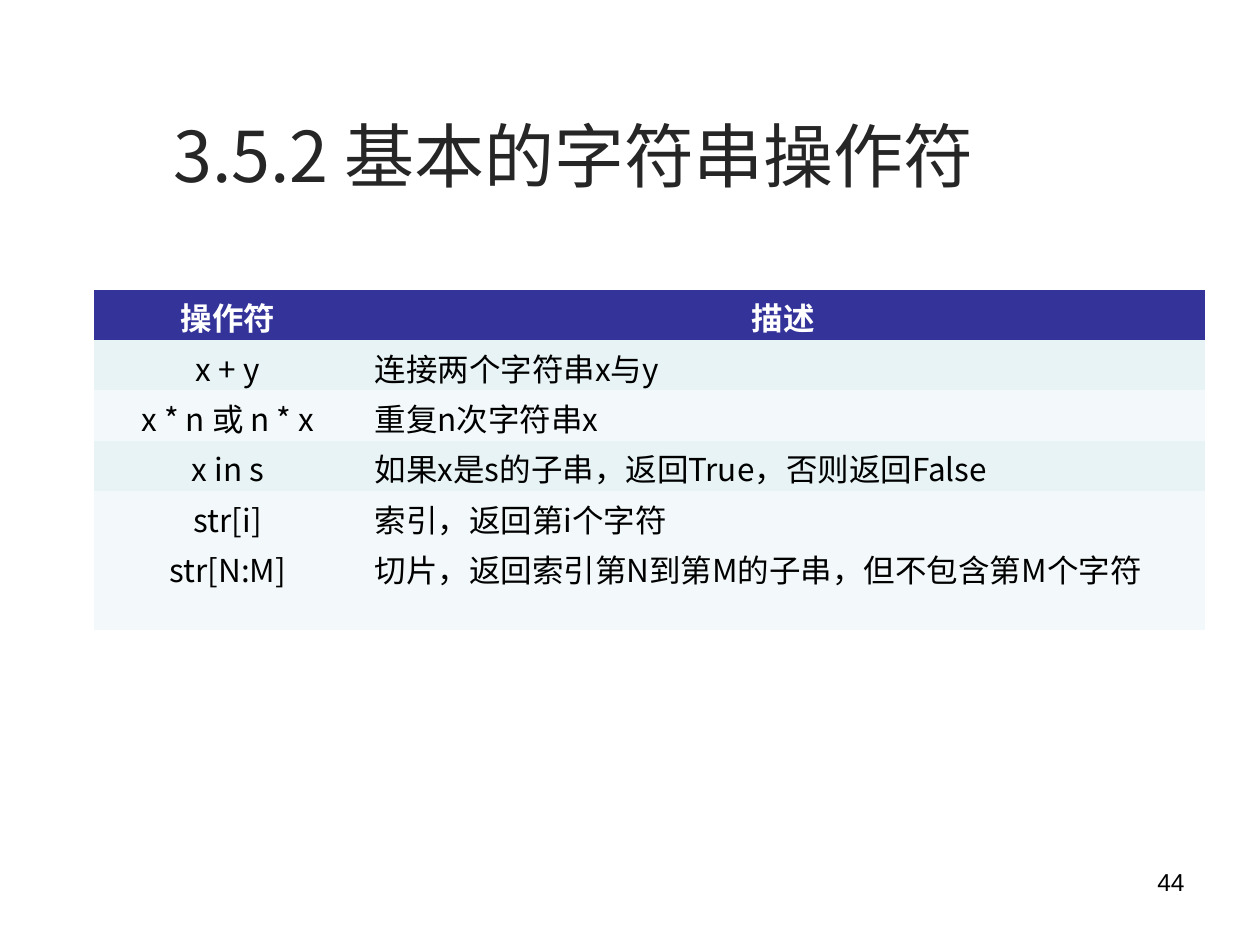
from lxml import etree
from pptx import Presentation
from pptx.dml.color import RGBColor
from pptx.enum import text
from pptx.oxml import ns
from pptx.util import Pt

CJK = "Noto Sans CJK SC"


def rgb(value):
    return RGBColor.from_string(value)


def style(p, size, color, font=CJK, bold=False, align=text.PP_ALIGN.LEFT):
    p.alignment = align
    for r in p.runs:
        r.font.size = Pt(size)
        r.font.bold = bold
        r.font.name = font
        r.font.color.rgb = rgb(color)
        ea = etree.SubElement(r.font._element, ns.qn("a:ea"))
        ea.set("typeface", font)


prs = Presentation()
prs.slide_width, prs.slide_height = Pt(720), Pt(540)
s = prs.slides.add_slide(prs.slide_layouts[6])

tf = s.shapes.add_textbox(Pt(92), Pt(60.5), Pt(484), Pt(55.5)).text_frame
tf.word_wrap = False
p = tf.paragraphs[0]
p.text = "3.5.2 基本的字符串操作符"
p.space_before = Pt(10)
style(p, 40, "262626")
rPr = p.runs[0].font._element
effects = etree.Element(ns.qn("a:effectLst"))
shadow = etree.SubElement(effects, ns.qn("a:outerShdw"), dist="35921", dir="2700000")
etree.SubElement(shadow, ns.qn("a:srgbClr"), val="C0C0C0")
rPr.find(ns.qn("a:solidFill")).addnext(effects)

rows = [
    ("操作符", "描述", "333399"),
    ("x + y", "连接两个字符串x与y", "E7F3F4"),
    ("x * n 或 n * x", "重复n次字符串x", "F3F9FA"),
    ("x in s", "如果x是s的子串，返回True，否则返回False", "E7F3F4"),
    ("str[i]", "索引，返回第i个字符", "F3F9FA"),
    ("str[N:M]", "切片，返回索引第N到第M的子串，但不包含第M个字符", "F3F9FA"),
]
table = s.shapes.add_table(len(rows), 2, Pt(53.5), Pt(165.5), Pt(635), Pt(194.4)).table
table.columns[0].width, table.columns[1].width = Pt(153.4), Pt(481.6)
for i, (operator, description, fill) in enumerate(rows):
    table.rows[i].height = Pt(50.4 if i == len(rows) - 1 else 28.8)
    header = i == 0
    for j, value in enumerate((operator, description)):
        cell = table.cell(i, j)
        cell.fill.solid()
        cell.fill.fore_color.rgb = rgb(fill)
        cell.margin_top, cell.margin_bottom = Pt(3.6), Pt(0)
        p = cell.text_frame.paragraphs[0]
        p.text = value
        p.line_spacing = Pt(25)
        centred = header or j == 0
        style(p, 18, "FFFFFF" if header else "000000", bold=header,
              align=text.PP_ALIGN.CENTER if centred else text.PP_ALIGN.LEFT)
        tcPr = cell._tc.get_or_add_tcPr()
        for k, side in enumerate(("lnL", "lnR", "lnT", "lnB")):
            ln = etree.Element(ns.qn("a:" + side), w="0")
            etree.SubElement(ln, ns.qn("a:noFill"))
            tcPr.insert(k, ln)

tf = s.shapes.add_textbox(Pt(516), Pt(492), Pt(168), Pt(37.5)).text_frame
tf.word_wrap = True
p = tf.paragraphs[0]
p.text = "44"
style(p, 14, "000000", font="Arial", align=text.PP_ALIGN.RIGHT)

prs.save("out.pptx")
